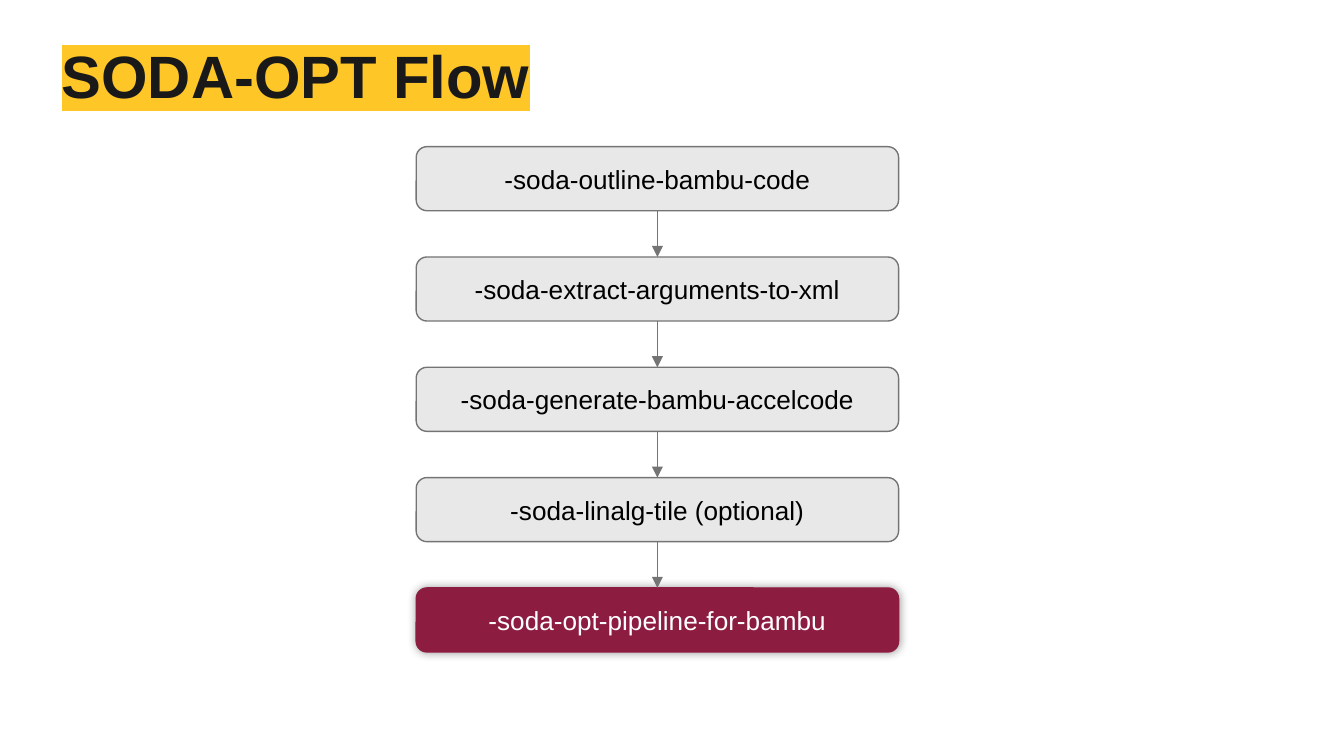
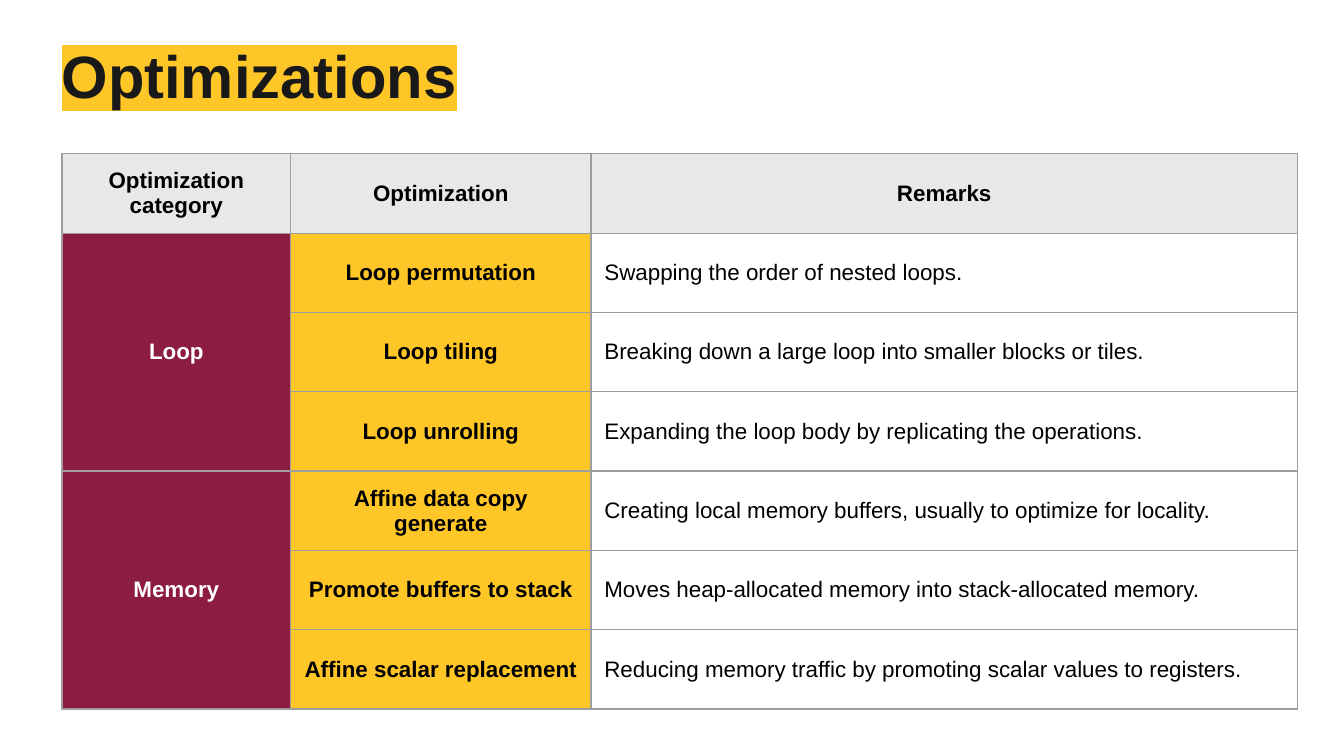
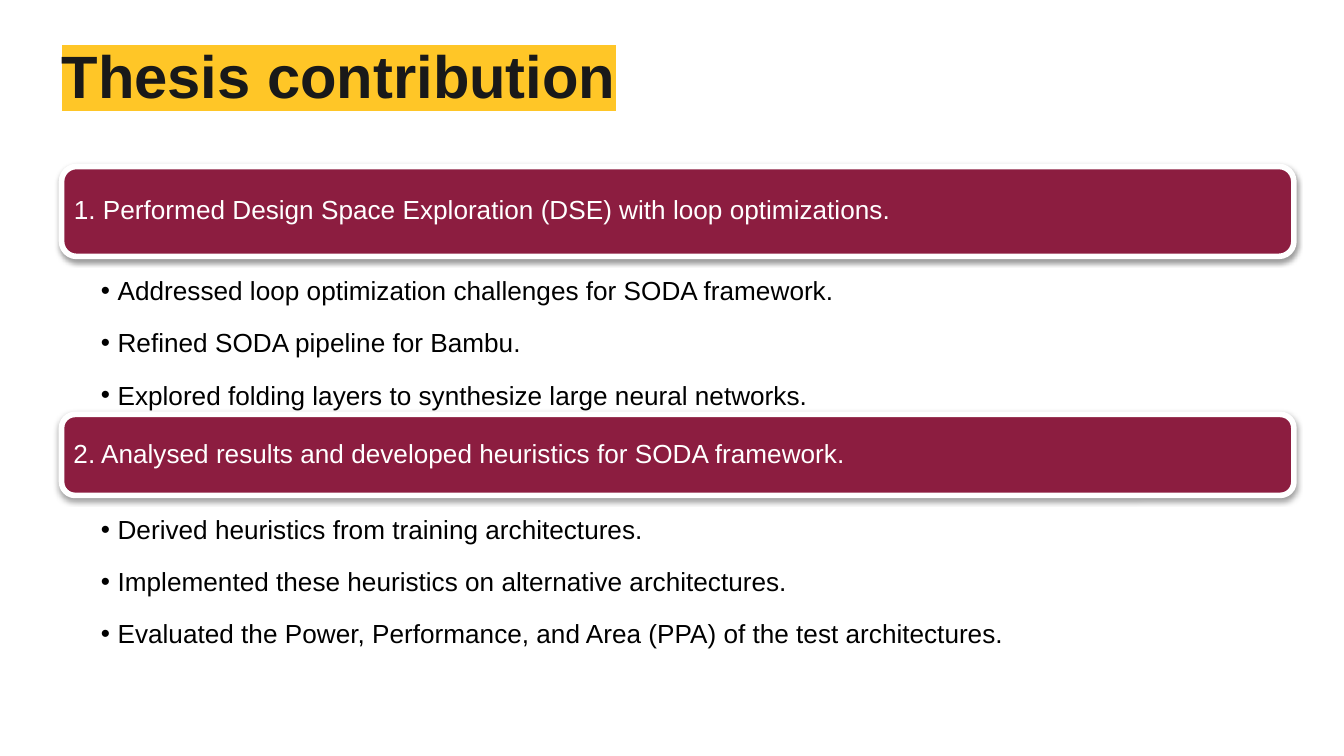
import pptx
import pptx.dml.color
import pptx.enum.shapes
import pptx.enum.text
import pptx.oxml
import pptx.oxml.ns
import pptx.util

Pt = pptx.util.Pt
ALIGN = pptx.enum.text.PP_ALIGN
ANCHOR = pptx.enum.text.MSO_ANCHOR
SHAPE = pptx.enum.shapes.MSO_SHAPE
STRAIGHT = pptx.enum.shapes.MSO_CONNECTOR.STRAIGHT

FONT = "Arial"
MAROON, GOLD = "8C1D40", "FFC627"
BLACK, WHITE, INK = "000000", "FFFFFF", "191919"
LIGHT, GRAY, BORDER = "E8E8E8", "747474", "9E9E9E"
LEFT, WIDTH = 33, 662

PASSES = [
    "-soda-outline-bambu-code",
    "-soda-extract-arguments-to-xml",
    "-soda-generate-bambu-accelcode",
    "-soda-linalg-tile (optional)",
    "-soda-opt-pipeline-for-bambu",
]
HEADINGS = ["Optimization category", "Optimization", "Remarks"]
OPTIMIZATIONS = {
    "Loop": [
        ("Loop permutation", "Swapping the order of nested loops."),
        ("Loop tiling", "Breaking down a large loop into smaller blocks or tiles."),
        ("Loop unrolling", "Expanding the loop body by replicating the operations."),
    ],
    "Memory": [
        ("Affine data copy generate",
         "Creating local memory buffers, usually to optimize for locality."),
        ("Promote buffers to stack",
         "Moves heap-allocated memory into stack-allocated memory."),
        ("Affine scalar replacement",
         "Reducing memory traffic by promoting scalar values to registers."),
    ],
}
CONTRIBUTIONS = [
    (48.2, "1. Performed Design Space Exploration (DSE) with loop optimizations.", [
        "Addressed loop optimization challenges for SODA framework.",
        "Refined SODA pipeline for Bambu.",
        "Explored folding layers to synthesize large neural networks.",
    ]),
    (43.4, "2. Analysed results and developed heuristics for SODA framework.", [
        "Derived heuristics from training architectures.",
        "Implemented these heuristics on alternative architectures.",
        "Evaluated the Power, Performance, and Area (PPA) of the test architectures.",
    ]),
]


def rgb(color):
    return pptx.dml.color.RGBColor.from_string(color)


def apply(target, values):
    for name, value in values.items():
        setattr(target, name, value)


def element(xml):
    tag, rest = xml.split(" ", 1)
    namespace = pptx.oxml.ns.nsdecls("a")
    return pptx.oxml.parse_xml(f"<a:{tag} {namespace} {rest}")


def set_frame(frame, insets=(0, 0, 0, 0), anchor=ANCHOR.TOP):
    sides = ("margin_left", "margin_top", "margin_right", "margin_bottom")
    apply(frame, dict(zip(sides, map(Pt, insets))))
    apply(frame, {"word_wrap": True, "vertical_anchor": anchor,
                  "auto_size": pptx.enum.text.MSO_AUTO_SIZE.NONE})


def write(paragraph, text, size, color, bold=False, **layout):
    apply(paragraph, layout)
    run = paragraph.add_run()
    run.text = text
    apply(run.font, {"size": Pt(size), "bold": bold, "name": FONT})
    run.font.color.rgb = rgb(color)
    return run


def add_titled_slide(deck, heading):
    slide = deck.slides.add_slide(deck.slide_layouts[5])
    title = slide.shapes.title
    apply(title, {"left": Pt(LEFT), "top": Pt(25.2), "width": Pt(WIDTH), "height": Pt(34.5)})
    set_frame(title.text_frame)
    run = write(title.text_frame.paragraphs[0], heading, 32, INK, bold=True,
                alignment=ALIGN.LEFT, line_spacing=0.9)
    latin = run.font._element.find(pptx.oxml.ns.qn("a:latin"))
    latin.addprevious(element(f'highlight ><a:srgbClr val="{GOLD}"/></a:highlight>'))
    return slide


def add_box(slide, left, top, width, height, fill, line, line_width, inset):
    box = slide.shapes.add_shape(SHAPE.ROUNDED_RECTANGLE,
                                 Pt(left), Pt(top), Pt(width), Pt(height))
    box.shadow.inherit = False
    box.fill.solid()
    box.fill.fore_color.rgb = rgb(fill)
    box.line.color.rgb = rgb(line)
    box.line.width = Pt(line_width)
    set_frame(box.text_frame, (inset,) * 4, ANCHOR.MIDDLE)
    return box


def add_shadow(box, blur, distance, angle, opacity):
    effects = box._element.spPr.find(pptx.oxml.ns.qn("a:effectLst"))
    effects.append(element(
        f'outerShdw blurRad="{Pt(blur)}" dist="{Pt(distance)}" dir="{angle * 60000}"'
        f' rotWithShape="0"><a:srgbClr val="{BLACK}"><a:alpha val="{opacity * 1000}"/>'
        '</a:srgbClr></a:outerShdw>'))


def add_arrow(slide, source, target):
    arrow = slide.shapes.add_connector(STRAIGHT, 0, 0, 0, 0)
    arrow.begin_connect(source, 2)
    arrow.end_connect(target, 0)
    arrow.line.color.rgb = rgb(GRAY)
    arrow.line.width = Pt(0.75)
    arrow.line._get_or_add_ln().append(element('tailEnd type="triangle"/>'))
    arrow._element.spPr.append(element("effectLst />"))


def fill_cell(cell, text, color, fill=None, bold=True, align=ALIGN.CENTER):
    cell.vertical_anchor = ANCHOR.MIDDLE
    if fill:
        cell.fill.solid()
        cell.fill.fore_color.rgb = rgb(fill)
    else:
        cell.fill.background()
    properties = cell._tc.get_or_add_tcPr()
    for index, side in enumerate("LRTB"):
        properties.insert(index, element(
            f'ln{side} w="{Pt(0.75)}"><a:solidFill><a:srgbClr val="{BORDER}"/>'
            f'</a:solidFill></a:ln{side}>'))
    if text:
        write(cell.text_frame.paragraphs[0], text, 12, color, bold, alignment=align)


def add_bullets(slide, top, height, points):
    area = slide.shapes.add_textbox(Pt(LEFT), Pt(top), Pt(660), Pt(height))
    frame = area.text_frame
    set_frame(frame, (21, 1.2, 8, 1.2))
    for index, point in enumerate(points):
        paragraph = frame.paragraphs[0] if index == 0 else frame.add_paragraph()
        properties = paragraph._p.get_or_add_pPr()
        properties.set("marL", str(Pt(9)))
        properties.set("indent", str(Pt(-9)))
        properties.append(element(f'buClr ><a:srgbClr val="{BLACK}"/></a:buClr>'))
        properties.append(element(f'buFont typeface="{FONT}"/>'))
        properties.append(element('buChar char="•"/>'))
        write(paragraph, point, 14, BLACK, level=1, alignment=ALIGN.LEFT,
              line_spacing=1.5, space_after=Pt(2.8))


def build_flow(deck):
    slide = add_titled_slide(deck, "SODA-OPT Flow")
    steps = []
    for index, name in enumerate(PASSES):
        final = index == len(PASSES) - 1
        fill, line, color = (MAROON, MAROON, WHITE) if final else (LIGHT, GRAY, BLACK)
        step = add_box(slide, 223, 78.6 + 59.1 * index, 258.4, 34.3, fill, line, 0.75, 7.2)
        write(step.text_frame.paragraphs[0], name, 14, color, alignment=ALIGN.CENTER)
        steps.append(step)
    add_shadow(steps[-1], 5, 0, 0, 40)
    for source, target in zip(steps, steps[1:]):
        add_arrow(slide, source, target)


def build_optimizations(deck):
    slide = add_titled_slide(deck, "Optimizations")
    rows = 1 + sum(map(len, OPTIMIZATIONS.values()))
    table = slide.shapes.add_table(rows, len(HEADINGS), Pt(33.2), Pt(82.4),
                                   Pt(WIDTH), Pt(42.5 * rows)).table
    apply(table, {"first_row": False, "horz_banding": False})
    for column, width in zip(table.columns, (122.6, 160.8, 378.6)):
        column.width = Pt(width)
    for column, heading in enumerate(HEADINGS):
        fill_cell(table.cell(0, column), heading, BLACK, LIGHT)
    row = 1
    for category, entries in OPTIMIZATIONS.items():
        first = row
        for name, remark in entries:
            fill_cell(table.cell(row, 0), category if row == first else "", WHITE, MAROON)
            fill_cell(table.cell(row, 1), name, BLACK, GOLD)
            fill_cell(table.cell(row, 2), remark, BLACK, bold=False, align=ALIGN.LEFT)
            row += 1
        table.cell(first, 0).merge(table.cell(row - 1, 0))


def build_contributions(deck):
    slide = add_titled_slide(deck, "Thesis contribution")
    top, list_height = 89.2, 84.6
    for bar_height, claim, points in CONTRIBUTIONS:
        bar = add_box(slide, LEFT, top, 660.2, bar_height, MAROON, WHITE, 3, 4.3)
        add_shadow(bar, 3.1, 1.6, 90, 38)
        write(bar.text_frame.paragraphs[0], claim, 14, WHITE,
              alignment=ALIGN.LEFT, line_spacing=0.9)
        add_bullets(slide, top + bar_height, list_height, points)
        top += bar_height + list_height


def main():
    deck = pptx.Presentation()
    apply(deck, {"slide_width": Pt(720), "slide_height": Pt(405)})
    build_flow(deck)
    build_optimizations(deck)
    build_contributions(deck)
    deck.save("out.pptx")


if __name__ == "__main__":
    main()
